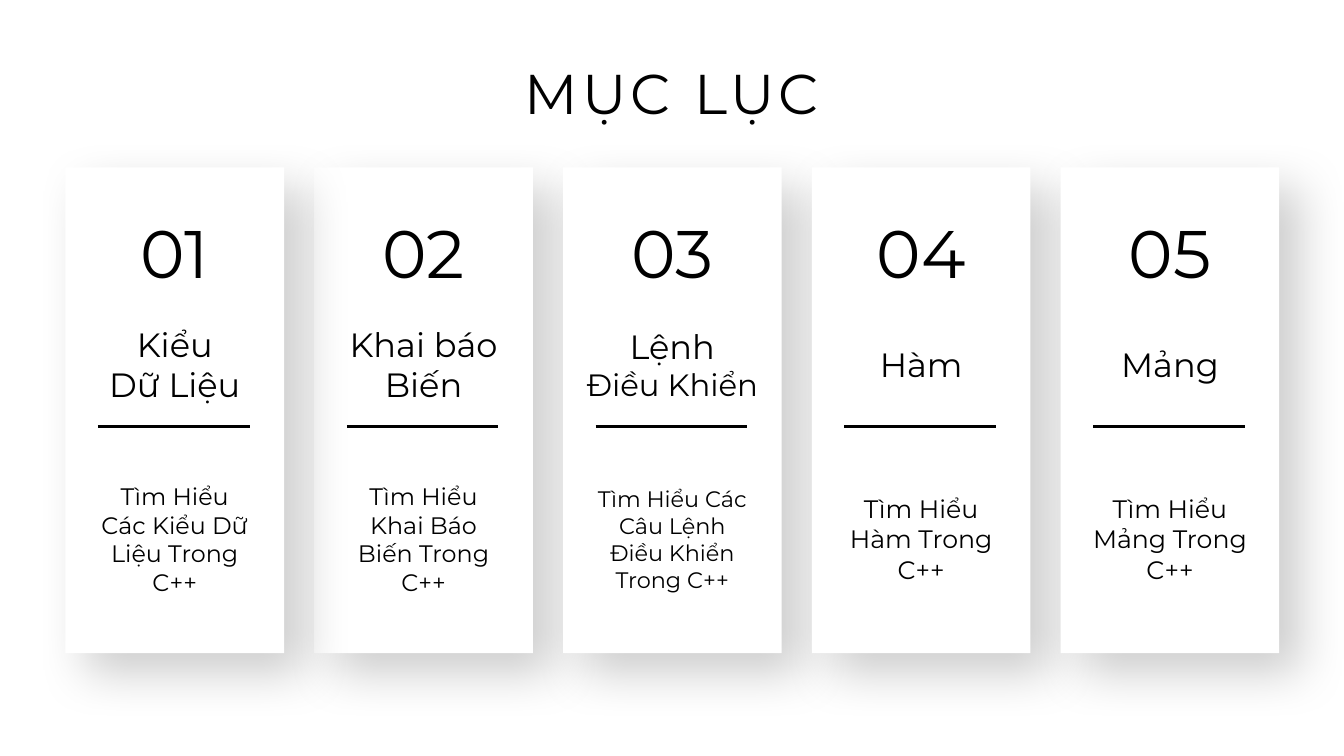
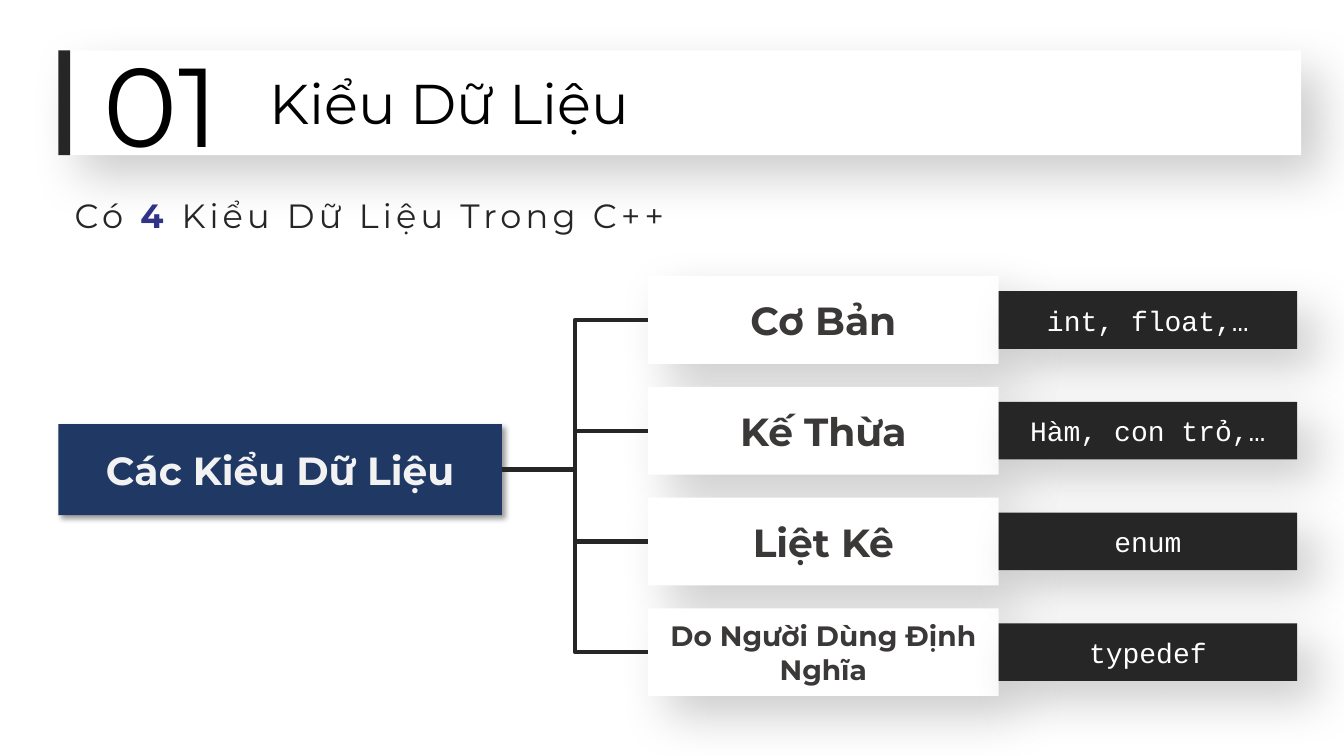
"""Build the contents page and the data type page of a C++ lesson."""
from dataclasses import dataclass, replace

from lxml.etree import SubElement
from pptx import Presentation
from pptx.dml.color import RGBColor
from pptx.enum.shapes import MSO_CONNECTOR, MSO_SHAPE
from pptx.enum.text import MSO_ANCHOR, PP_ALIGN
from pptx.oxml.ns import qn
from pptx.shapes.autoshape import Shape
from pptx.shapes.connector import Connector
from pptx.slide import Slide
from pptx.util import Cm, Pt

COLORS = {
    "black": "000000",
    "white": "FFFFFF",
    "dark": "262626",
    "grey": "3B3838",
    "navy": "203864",
    "pale": "F2F2F2",
    "accent": "303386",
}


@dataclass(frozen=True)
class Style:
    size: float
    color: str = "black"
    font: str = "Montserrat"
    bold: bool = False
    spacing: float = 0
    align: PP_ALIGN = PP_ALIGN.CENTER


@dataclass(frozen=True)
class Shadow:
    opacity: int
    blur: float
    distance: float


@dataclass(frozen=True)
class Area:
    left: float
    top: float
    width: float
    height: float

    def lengths(self) -> list[Cm]:
        return [Cm(value) for value in (self.left, self.top, self.width, self.height)]


@dataclass(frozen=True)
class Chapter:
    title: str
    title_sizes: tuple[int, ...]
    summary: str
    summary_size: int


@dataclass(frozen=True)
class DataType:
    name: str
    size: int
    example: str


SOFT = Shadow(20, 35, 20)
TIGHT = Shadow(40, 4, 3)
HEADING = Style(40)
NUMBER = Style(48)

CHAPTERS = [
    Chapter("Kiểu\nDữ Liệu", (24, 24), "Tìm Hiểu Các Kiểu Dữ Liệu Trong C++", 17),
    Chapter("Khai báo\nBiến", (24, 24), "Tìm Hiểu Khai Báo Biến Trong C++", 17),
    Chapter("Lệnh\nĐiều Khiển", (24, 22), "Tìm Hiểu Các Câu Lệnh Điều Khiển Trong C++", 16),
    Chapter("Hàm", (24,), "Tìm Hiểu Hàm Trong C++", 18),
    Chapter("Mảng", (24,), "Tìm Hiểu Mảng Trong C++", 18),
]
DATA_TYPES = [
    DataType("Cơ Bản", 28, "int, float,…"),
    DataType("Kế Thừa", 28, "Hàm, con trỏ,…"),
    DataType("Liệt Kê", 28, "enum"),
    DataType("Do Người Dùng\nĐịnh Nghĩa".replace("\n", " "), 20, "typedef"),
]


def rgb(name: str) -> RGBColor:
    return RGBColor.from_string(COLORS[name])


def format_span(span, style: Style) -> None:
    span.font.name = style.font
    span.font.size = Pt(style.size)
    span.font.bold = style.bold
    span.font.color.rgb = rgb(style.color)
    if style.spacing:
        span.font._element.set("spc", str(int(style.spacing * 100)))


def write(box: Shape, text: str, style: Style) -> None:
    frame = box.text_frame
    frame.word_wrap = True
    frame.vertical_anchor = MSO_ANCHOR.MIDDLE
    frame.text = text
    for para in frame.paragraphs:
        para.alignment = style.align
        for span in para.runs:
            format_span(span, style)


def add_text(page: Slide, area: Area, text: str, style: Style) -> Shape:
    box = page.shapes.add_textbox(*area.lengths())
    write(box, text, style)
    return box


def add_panel(page: Slide, area: Area, color: str, shadow: Shadow | None = None) -> Shape:
    panel = page.shapes.add_shape(MSO_SHAPE.RECTANGLE, *area.lengths())
    panel.fill.solid()
    panel.fill.fore_color.rgb = rgb(color)
    panel.line.fill.background()
    panel.shadow.inherit = False
    if shadow:
        effects = panel.element.spPr.find(qn("a:effectLst"))
        outer = SubElement(
            effects, qn("a:outerShdw"), blurRad=str(Pt(shadow.blur)),
            dist=str(Pt(shadow.distance)), dir=str(45 * 60000), algn="tl", rotWithShape="0",
        )
        tint = SubElement(outer, qn("a:srgbClr"), val=COLORS["black"])
        SubElement(tint, qn("a:alpha"), val=str(shadow.opacity * 1000))
    return panel


def style_line(line: Connector, color: str, width: float) -> None:
    line.line.color.rgb = rgb(color)
    line.line.width = Pt(width)
    SubElement(line.element.spPr, qn("a:effectLst"))


def add_chapter_card(page: Slide, index: int, chapter: Chapter) -> None:
    width, inset, summary_width = 5.51, 0.82, 4.45
    left = 1.65 + 6.27 * index
    add_panel(page, Area(left, 4.22, width, 12.24), "white", SOFT)
    add_text(page, Area(left, 5.18, width, 2.31), f"{index + 1:02}", NUMBER)
    title = add_text(page, Area(left, 8.02, width, 2.32), chapter.title, Style(24))
    for para, size in zip(title.text_frame.paragraphs, chapter.title_sizes):
        para.runs[0].font.size = Pt(size)
    rule = page.shapes.add_connector(
        MSO_CONNECTOR.STRAIGHT, Cm(left + inset), Cm(10.74), Cm(left + inset + 3.82), Cm(10.74)
    )
    style_line(rule, "black", 2.25)
    summary = Area(left + (width - summary_width) / 2, 11.99, summary_width, 3.18)
    add_text(page, summary, chapter.summary, Style(chapter.summary_size))


def build_contents(page: Slide) -> None:
    add_text(page, Area(10.16, 1.35, 13.56, 1.96), "MỤC LỤC", replace(HEADING, spacing=3))
    for index in (1, 2, 3, 4, 0):
        add_chapter_card(page, index, CHAPTERS[index])


def add_header(page: Slide, number: str, title: str) -> None:
    add_panel(page, Area(1.47, 1.27, 31.32, 2.64), "white", SOFT)
    add_text(page, Area(1.78, 0.76, 4.57, 3.68), number, Style(80))
    add_text(page, Area(6.55, 1.6, 15.42, 1.96), title, replace(HEADING, align=PP_ALIGN.LEFT))
    add_panel(page, Area(1.47, 1.27, 0.3, 2.64), "dark")


def build_data_types(page: Slide) -> None:
    add_header(page, "01", "Kiểu Dữ Liệu")
    plain = Style(24, "dark", spacing=3, align=PP_ALIGN.LEFT)
    intro = add_text(page, Area(1.63, 4.78, 16.81, 1.27), "Có ", plain)
    marked = replace(plain, color="accent", bold=True)
    for text, style in (("4 ", marked), ("Kiểu Dữ Liệu Trong C++", plain)):
        span = intro.text_frame.paragraphs[0].add_run()
        span.text = text
        format_span(span, style)

    root = add_panel(page, Area(1.47, 10.69, 11.18, 2.29), "navy", TIGHT)
    write(root, "Các Kiểu Dữ Liệu", Style(28, "pale", bold=True))

    left, top, width, height, pitch = 16.33, 6.96, 8.84, 2.21, 2.79
    for row, data_type in enumerate(DATA_TYPES):
        card = add_panel(page, Area(left, top + row * pitch, width, height), "white", SOFT)
        write(card, data_type.name, Style(data_type.size, "grey", bold=True))
        branch = page.shapes.add_connector(MSO_CONNECTOR.ELBOW, 0, 0, 0, 0)
        branch.begin_connect(root, 3)
        branch.end_connect(card, 1)
        style_line(branch, "dark", 3)

    bar_height = 1.45
    bar_top = top + (height - bar_height) / 2
    for row, data_type in enumerate(DATA_TYPES):
        area = Area(left + width, bar_top + row * pitch, 7.52, bar_height)
        bar = add_panel(page, area, "dark", SOFT)
        write(bar, data_type.example, Style(20, "white", "Courier New"))


def main() -> None:
    deck = Presentation()
    deck.slide_width, deck.slide_height = Cm(33.87), Cm(19.05)
    for build in (build_contents, build_data_types):
        build(deck.slides.add_slide(deck.slide_layouts[6]))
    deck.save("out.pptx")


if __name__ == "__main__":
    main()
